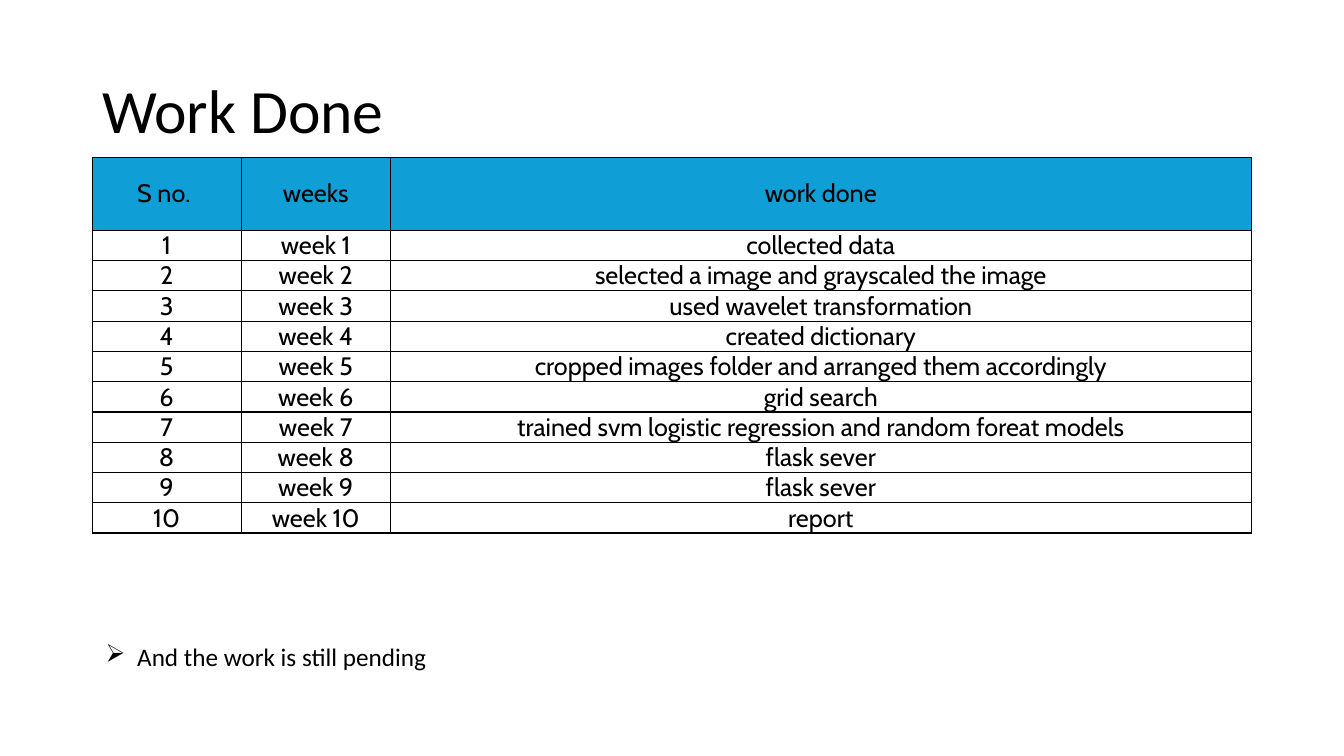
from dataclasses import dataclass

from lxml import etree
from pptx import Presentation
from pptx.dml.color import RGBColor
from pptx.enum import text
from pptx.oxml import ns
from pptx.util import Pt

HUES = {"ink": "000000", "head": "0F9ED5"}
WIDTHS = (106.5, 106.5, 615)
HEAD_H, ROW_H = 52, 21.6


@dataclass
class Label:
    words: str
    left: float
    top: float
    width: float
    height: float
    size: float
    anchor: text.MSO_ANCHOR
    lines: float = 1.0
    bullet: str = ""


@dataclass
class Row:
    cells: tuple[str, str, str]
    height: float = ROW_H
    fill: str = ""


LABELS = [
    Label("Work Done", 66, 28.8, 828, 104.4, 44, text.MSO_ANCHOR.MIDDLE, lines=0.9),
    Label("And the work is still pending", 68.4, 454.3, 396.7, 28.8, 18,
          text.MSO_ANCHOR.TOP, bullet="➢"),
]
TASKS = [
    "collected data",
    "selected a image and grayscaled the image",
    "used wavelet transformation",
    "created dictionary",
    "cropped images folder and arranged them accordingly",
    "grid search",
    "trained svm logistic regression and random foreat models",
    "flask sever",
    "flask sever",
    "report",
]
ROWS = [Row(("S no. ", "weeks", "work done"), HEAD_H, "head")]
ROWS += [Row((str(n), f"week {n}", task)) for n, task in enumerate(TASKS, 1)]


def color(name: str) -> RGBColor:
    return RGBColor.from_string(HUES[name])


def style(para, face: str, size: float) -> None:
    para.font.name = face
    para.font.size = Pt(size)
    para.font.color.rgb = color("ink")


def add_label(slide, label: Label) -> None:
    box = slide.shapes.add_textbox(
        Pt(label.left), Pt(label.top), Pt(label.width), Pt(label.height))
    frame = box.text_frame
    frame.word_wrap = True
    frame.vertical_anchor = label.anchor
    para = frame.paragraphs[0]
    para.text = label.words
    para.line_spacing = label.lines
    style(para, "Calibri", label.size)
    if label.bullet:
        props = para._p.get_or_add_pPr()
        props.set("marL", str(Pt(22.5)))
        props.set("indent", str(-Pt(22.5)))
        mark = etree.Element(ns.qn("a:buChar"), char=label.bullet)
        props.insert_element_before(mark, "a:tabLst", "a:defRPr", "a:extLst")


def add_border(cell) -> None:
    props = cell._tc.get_or_add_tcPr()
    for side in ("lnL", "lnR", "lnT", "lnB"):
        line = etree.SubElement(props, ns.qn(f"a:{side}"), w=str(Pt(1)))
        fill = etree.SubElement(line, ns.qn("a:solidFill"))
        etree.SubElement(fill, ns.qn("a:srgbClr"), val=HUES["ink"])


def fill_cell(cell, words: str, fill: str) -> None:
    cell.margin_left = cell.margin_right = cell.margin_top = cell.margin_bottom = 0
    cell.vertical_anchor = text.MSO_ANCHOR.MIDDLE
    add_border(cell)
    if fill:
        cell.fill.solid()
        cell.fill.fore_color.rgb = color(fill)
    else:
        cell.fill.background()
    para = cell.text_frame.paragraphs[0]
    para.text = words
    para.alignment = text.PP_ALIGN.CENTER
    style(para, "Cabin", 18)


def add_grid(slide, rows: list[Row]) -> None:
    table = slide.shapes.add_table(
        len(rows), len(WIDTHS), Pt(65.8), Pt(112.5),
        Pt(sum(WIDTHS)), Pt(sum(row.height for row in rows))).table
    table.first_row = table.horz_banding = False
    for col, width in zip(table.columns, WIDTHS):
        col.width = Pt(width)
    for line, row in zip(table.rows, rows):
        line.height = Pt(row.height)
        for cell, words in zip(line.cells, row.cells):
            fill_cell(cell, words, row.fill)


def main() -> None:
    deck = Presentation()
    deck.slide_width, deck.slide_height = Pt(960), Pt(540)
    slide = deck.slides.add_slide(deck.slide_layouts[6])
    # Title and closing note
    for label in LABELS:
        add_label(slide, label)
    # Weekly work table
    add_grid(slide, ROWS)
    deck.save("out.pptx")


if __name__ == "__main__":
    main()
